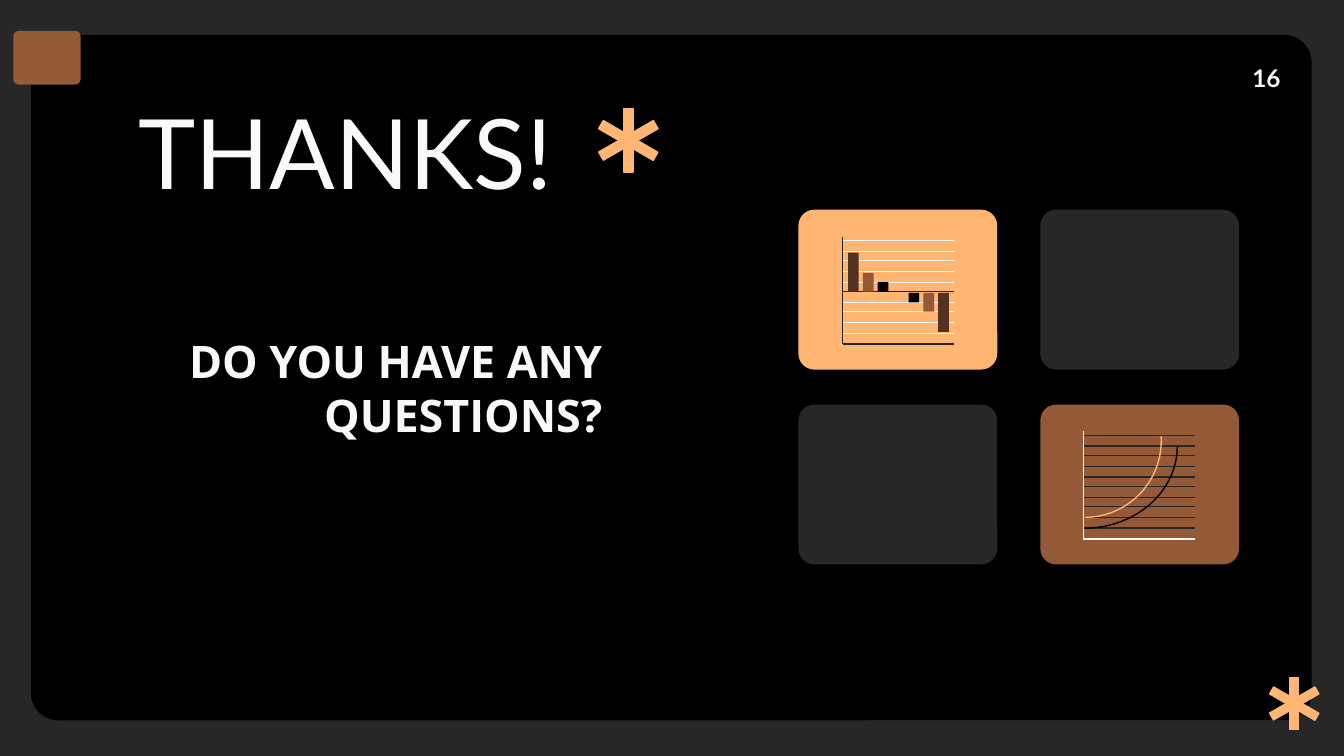
from dataclasses import dataclass

from lxml.etree import SubElement
from pptx import Presentation
from pptx.dml.color import RGBColor
from pptx.enum.shapes import MSO_CONNECTOR, MSO_SHAPE
from pptx.enum.text import MSO_ANCHOR, PP_ALIGN
from pptx.oxml.ns import qn
from pptx.util import Pt

PX = 9144  # EMU per px, 100 px to the inch


@dataclass(frozen=True)
class Theme:
    back: str = "272727"
    panel: str = "000000"
    light: str = "F9F9F9"
    peach: str = "FFB673"
    brown: str = "945937"
    umber: str = "53321F"
    head_font: str = "Lato"
    body_font: str = "Open Sans"
    title: int = 52
    subtitle: int = 24
    number: int = 13
    line: float = 0.75


def px(*lengths):
    return [round(n) * PX for n in lengths]


def rgb(color):
    return RGBColor.from_string(color)


def write(tf, text, *, font, size, color, bold=False, align=PP_ALIGN.LEFT):
    """Fill a text frame, one paragraph for each line of text."""
    for i, line in enumerate(text.split("\n")):
        p = tf.paragraphs[0] if i == 0 else tf.add_paragraph()
        p.alignment = align
        r = p.add_run()
        r.text = line
        r.font.name, r.font.size, r.font.bold = font, Pt(size), bold
        r.font.color.rgb = rgb(color)


class Deck:
    CARD_W, CARD_H = 148, 119

    def __init__(self, prs, theme):
        self.theme = theme
        self.s = prs.slides.add_slide(prs.slide_layouts[6])
        self.s.background.fill.solid()
        self.s.background.fill.fore_color.rgb = rgb(theme.back)

    def shape(self, kind, x, y, w, h, *, fill=None, line=None, adj=(), rot=0):
        sp = self.s.shapes.add_shape(kind, *px(x, y, w, h))
        sp.shadow.inherit = False
        sp.rotation = rot
        for i, value in enumerate(adj):
            sp.adjustments[i] = value
        if fill:
            sp.fill.solid()
            sp.fill.fore_color.rgb = rgb(fill)
        else:
            sp.fill.background()
        if line:
            sp.line.color.rgb = rgb(line)
            sp.line.width = Pt(self.theme.line)
        else:
            sp.line.fill.background()

    def rect(self, x, y, w, h, **style):
        self.shape(MSO_SHAPE.RECTANGLE, x, y, w, h, **style)

    def rounded(self, x, y, w, h, fill, radius=0.1):
        self.shape(MSO_SHAPE.ROUNDED_RECTANGLE, x, y, w, h, fill=fill, adj=[radius])

    def card(self, x, y, fill):
        self.rounded(x, y, self.CARD_W, self.CARD_H, fill)

    def line(self, x1, y1, x2, y2, color):
        c = self.s.shapes.add_connector(MSO_CONNECTOR.STRAIGHT, *px(x1, y1, x2, y2))
        c.line.color.rgb = rgb(color)
        c.line.width = Pt(self.theme.line)
        SubElement(c._element.spPr, qn("a:effectLst"))

    def quarter_arc(self, x, y, w, h, color, start):
        self.shape(MSO_SHAPE.ARC, x, y, w, h, line=color, adj=[start, 0.04], rot=90)

    def asterisk(self, x, y, w, h):
        color = self.theme.peach
        for rot in (0, 300.2, 60.1):
            self.rect(x, y, w, h, fill=color, line=color, rot=rot)

    def text(self, x, y, w, h, text, *, anchor=MSO_ANCHOR.TOP, **style):
        tf = self.s.shapes.add_textbox(*px(x, y, w, h)).text_frame
        tf.word_wrap = True
        tf.vertical_anchor = anchor
        tf.margin_left = tf.margin_right = tf.margin_top = tf.margin_bottom = 10 * PX
        write(tf, text, **style)

    def plot(self, x, y, grid, axis, zero_row=None):
        """Draw ten grid lines and two axes; zero_row takes the axis colour."""
        right, base = x + 83, y + 80
        for row in range(10):
            level = y + 3 + 7.64 * row
            self.line(x, level, right, level, axis if row == zero_row else grid)
        self.line(x, base, right, base, axis)
        self.line(x, y, x, base, axis)

    def mirrored_bars(self, left, right, zero):
        t = self.theme
        bars = ((29, t.umber), (14, t.brown), (7, t.panel))
        for i, (height, color) in enumerate(bars):
            self.rect(left + 11 * i, zero - height, 8, height, fill=color)
            self.rect(right - 11 * i, zero + 1, 8, height, fill=color)


def main():
    prs = Presentation()
    prs.slide_width = 1000 * PX
    prs.slide_height = prs.slide_width * 9 // 16
    t = Theme()
    d = Deck(prs, t)

    d.rounded(23, 26, 953, 510, t.panel, radius=0.04)
    d.rounded(10, 23, 50, 40, t.brown)
    d.asterisk(960, 504, 6, 39)

    d.text(78, 59, 343, 92, "THANKS!", font=t.head_font, size=t.title,
           color=t.light, align=PP_ALIGN.RIGHT)
    d.text(922, 37, 60, 43, "16", font=t.head_font, size=t.number,
           color=t.light, bold=True)
    d.text(125, 204, 333, 169, "DO YOU HAVE ANY\nQUESTIONS?", font=t.body_font,
           size=t.subtitle, color=t.light, bold=True, align=PP_ALIGN.RIGHT,
           anchor=MSO_ANCHOR.MIDDLE)

    left, right = 594, 774
    top, bottom = 156, 301
    d.card(left, bottom, t.back)
    d.card(right, top, t.back)

    d.card(left, top, t.peach)
    d.plot(left + 33, top + 20, grid=t.light, axis=t.back, zero_row=5)
    d.mirrored_bars(left + 37, left + 104, top + 61)

    d.card(right, bottom, t.brown)
    d.plot(right + 32, bottom + 20, grid=t.back, axis=t.light)
    d.quarter_arc(746, 263, 122, 138, t.panel, start=162.19)
    d.quarter_arc(750, 271, 114, 114, t.peach, start=160.01)

    d.asterisk(464, 81, 7, 47)
    prs.save("out.pptx")


if __name__ == "__main__":
    main()
